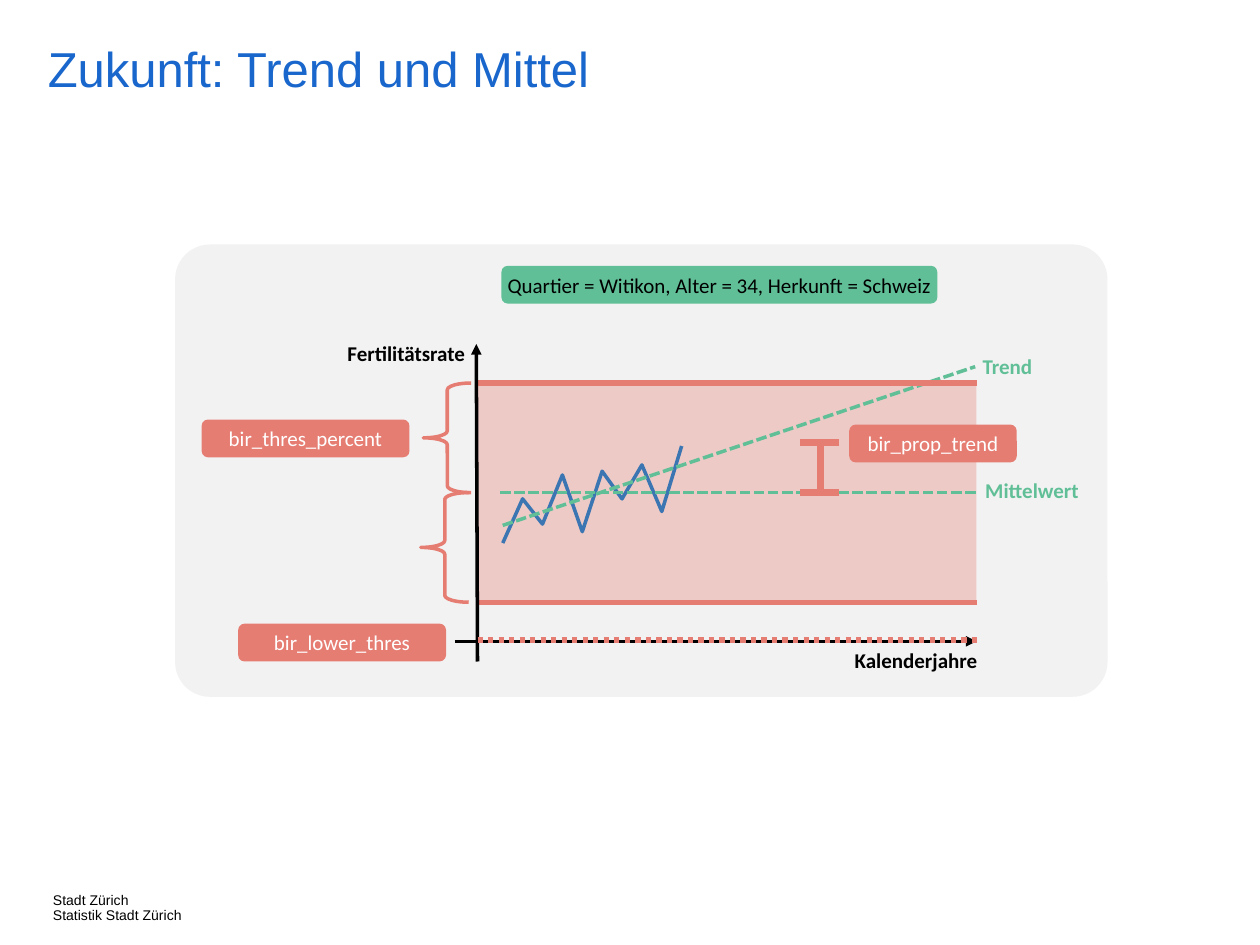
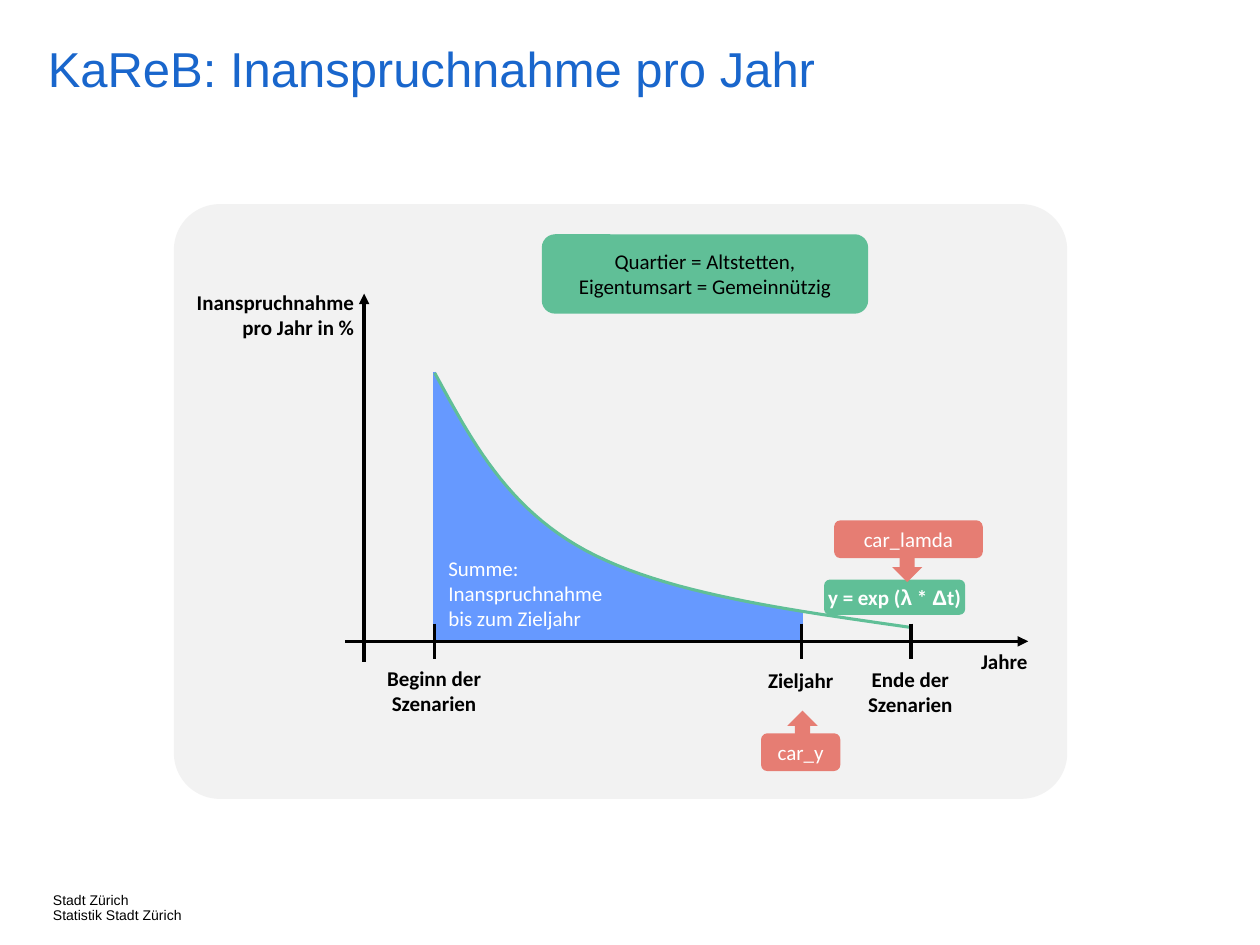
from lxml.etree import SubElement
from pptx import Presentation
from pptx.dml.color import RGBColor
from pptx.enum.shapes import MSO_CONNECTOR, MSO_SHAPE
from pptx.enum.text import MSO_ANCHOR, PP_ALIGN
from pptx.oxml.ns import qn
from pptx.util import Inches, Pt

BLACK = RGBColor(0x00, 0x00, 0x00)
WHITE = RGBColor(0xFF, 0xFF, 0xFF)
GREY = RGBColor(0xF2, 0xF2, 0xF2)
RED = RGBColor(0xE6, 0x7D, 0x73)
GREEN = RGBColor(0x60, 0xBF, 0x97)
BLUE = RGBColor(0x66, 0x99, 0xFF)
NAVY = RGBColor(0x3B, 0x76, 0xB3)
TITLE = RGBColor(0x19, 0x66, 0xCC)

LEFT, MID, RIGHT = PP_ALIGN.LEFT, PP_ALIGN.CENTER, PP_ALIGN.RIGHT
BODY = {"name": "Calibri", "size": Pt(12), "bold": False}
BOLD = {**BODY, "bold": True}
GREEK = {**BOLD, "name": "Arial"}
HEAD = {"name": "Arial", "size": Pt(28), "bold": False}
FOOT = {"name": "Arial", "size": Pt(8), "bold": False}
FLUSH = {"margin_left": 0, "margin_right": 0, "margin_top": 0, "margin_bottom": 0}


def apply(thing, values):
    for key, value in values.items():
        setattr(thing, key, value)


def tint(run, font, color):
    apply(run.font, font)
    run.font.color.rgb = color


def write(frame, texts, font, color, **para):
    for i, text in enumerate(texts):
        line = frame.add_paragraph() if i else frame.paragraphs[0]
        line.text = text
        apply(line, para)
        for run in line.runs:
            tint(run, font, color)


class Board:
    def __init__(self, slide, box):
        self.shapes = slide.shapes
        self.x, self.y, self.wide, self.high = box

    def at(self, x, y):
        return Inches(self.x + x), Inches(self.y + y)

    def shape(self, kind, x, y, wide, high, fill=None, line=None, adjust=None):
        form = self.shapes.add_shape(kind, *self.at(x, y), Inches(wide), Inches(high))
        self.paint(form, fill, line)
        if adjust is not None:
            form.adjustments[0] = adjust
        return form

    def paint(self, form, fill, line, width=2):
        form.shadow.inherit = False
        if fill is None:
            form.fill.background()
        else:
            form.fill.solid()
            form.fill.fore_color.rgb = fill
        if line is None:
            form.line.fill.background()
        else:
            form.line.color.rgb = line
            form.line.width = Pt(width)

    def panel(self):
        self.shape(MSO_SHAPE.ROUNDED_RECTANGLE, 0, 0, self.wide, self.high, GREY, adjust=0.077)

    def text(self, x, y, wide, high, texts, font, color, align=LEFT, frame=None, **para):
        box = self.shapes.add_textbox(*self.at(x, y), Inches(wide), Inches(high))
        apply(box.text_frame, {"word_wrap": True, **(frame or {})})
        write(box.text_frame, texts, font, color, alignment=align, **para)

    def label(self, x, y, wide, text, align=MID, color=BLACK):
        high = 0.5 if "\n" in text else 0.3
        self.text(x, y, wide, high, [text], BOLD, color, align)

    def tag(self, x, y, wide, text, fill=RED, color=WHITE, high=0.3):
        form = self.shape(MSO_SHAPE.ROUNDED_RECTANGLE, x, y, wide, high, fill)
        apply(form.text_frame, {"word_wrap": True, "vertical_anchor": MSO_ANCHOR.MIDDLE, **FLUSH})
        write(form.text_frame, [text], BODY, color, alignment=MID)
        return form.text_frame.paragraphs[0]

    def line(self, start, end, color=BLACK, width=2, dash=None, arrow=False):
        link = self.shapes.add_connector(MSO_CONNECTOR.STRAIGHT, *self.at(*start), *self.at(*end))
        link.line.color.rgb = color
        link.line.width = Pt(width)
        props = link._element.spPr
        stroke = props.find(qn("a:ln"))
        if dash:
            SubElement(stroke, qn("a:prstDash")).set("val", dash)
        if arrow:
            SubElement(stroke, qn("a:tailEnd")).set("type", "triangle")
        SubElement(props, qn("a:effectLst"))

    def trace(self, points, fill=None, line=None, width=2):
        first, *rest = [self.at(*point) for point in points]
        pen = self.shapes.build_freeform(*first)
        pen.add_line_segments(rest, close=fill is not None)
        self.paint(pen.convert_to_shape(), fill, line, width)


def frame(deck, title):
    slide = deck.slides.add_slide(deck.slide_layouts[6])
    page = Board(slide, (0, 0, 10, 7.5))
    page.text(0.42, 7.09, 1.31, 0.2, ["Stadt Zürich", "Statistik Stadt Zürich"],
              FOOT, BLACK, frame={**FLUSH, "word_wrap": False}, line_spacing=0.9)
    page.text(0.38, 0.36, 8.4, 0.64, [title], HEAD, TITLE, frame=FLUSH, line_spacing=0.9)
    return slide


def trend(slide, box):
    board = Board(slide, box)
    left, right = 2.39, 6.36
    top, mean, low, base = 1.1, 1.97, 2.84, 3.15
    board.panel()
    band = board.shape(MSO_SHAPE.RECTANGLE, left, top, right - left, low - top, RED)
    shade = band._element.spPr.find(".//" + qn("a:srgbClr"))
    SubElement(shade, qn("a:alpha")).set("val", "34000")

    board.line((2.22, base), (right, base), arrow=True)
    board.label(5.26, base, 1.24, "Kalenderjahre")
    board.label(1.16, 0.71, 1.24, "Fertilitätsrate", RIGHT)
    board.tag(2.59, 0.17, 3.46, "Quartier = Witikon, Alter = 34, Herkunft = Schweiz", GREEN, BLACK)
    board.tag(0.21, 1.39, 1.65, "bir_thres_percent")

    rates = (2.37, 2.02, 2.22, 1.83, 2.28, 1.8, 2.02, 1.75, 2.12, 1.6)
    step = 1.42 / (len(rates) - 1)
    board.trace([(2.6 + i * step, rate) for i, rate in enumerate(rates)], line=NAVY)

    board.line((2.58, mean), (right, mean), GREEN, dash="sysDash")
    board.label(6.03, 1.8, 1.24, "Mittelwert", RIGHT, GREEN)
    board.line((2.6, 2.23), (6.35, 0.97), GREEN, dash="sysDash")
    board.label(6.26, 0.82, 0.64, "Trend", RIGHT, GREEN)

    for y in (low, top):
        board.line((left, y), (right, y), RED, 3)
    board.line((2.4, 3.31), (left, 0.79), arrow=True)
    for x, y in ((1.97, top), (1.95, mean)):
        board.shape(MSO_SHAPE.LEFT_BRACE, x, y, 0.38, mean - top, line=RED, adjust=0.142)

    peak, stem = 1.57, 5.12
    board.line((stem, peak), (stem, mean), RED, 4)
    for y in (peak, mean):
        board.line((stem + 0.15, y), (stem - 0.16, y), RED, 4)
    board.tag(5.35, 1.43, 1.33, "bir_prop_trend")
    board.tag(0.5, 3.01, 1.65, "bir_lower_thres")
    board.line((2.4, 3.14), (6.37, 3.14), RED, 3, "sysDot")


def bend(a, b, c, d, steps=24):
    for i in range(steps + 1):
        t = i / steps
        parts = ((1 - t) ** 3, 3 * t * (1 - t) ** 2, 3 * t * t * (1 - t), t ** 3)
        yield tuple(sum(p * v for p, v in zip(parts, axis)) for axis in zip(a, b, c, d))


def decay(slide, box):
    board = Board(slide, box)
    start, goal, end, base = 2.07, 4.98, 5.85, 3.47
    board.panel()
    board.line((1.51, 3.63), (1.51, 0.71), arrow=True)
    board.label(0, 0.63, 1.53, "Inanspruchnahme\npro Jahr in %", RIGHT)
    board.tag(2.92, 0.24, 2.59, "Quartier = Altstetten,\nEigentumsart = Gemeinnützig",
              GREEN, BLACK, 0.63)
    board.tag(5.24, 2.51, 1.18, "car_lamda")

    board.label(6.17, 3.48, 0.84, "Jahre")
    board.label(1.49, 3.61, 1.15, "Beginn der\nSzenarien")
    board.label(5.16, 3.62, 1.37, "Ende der\nSzenarien")
    board.label(4.29, 3.63, 1.37, "Zieljahr")

    knot = (3.27, 2.75)
    curve = [*bend((start, 1.34), (2.36, 1.87), (2.64, 2.41), knot),
             *bend(knot, (3.9, 3.09), (4.87, 3.22), (end, 3.36))]
    until = [point for point in curve if point[0] < goal]
    board.trace([(start, base), *until, (goal, 3.23), (goal, base)], BLUE)
    for x, y in ((start, 1.33), (goal, 3.23)):
        board.line((x, y), (x, base), BLUE)
    board.trace(curve, line=GREEN, width=1.75)

    board.line((1.36, base), (6.78, base), arrow=True)
    for x in (goal, end, start):
        board.line((x, base - 0.14), (x, base + 0.14))
    board.text(2.08, 2.74, 1.54, 0.71, ["Summe:\nInanspruchnahme\nbis zum Zieljahr"], BODY, WHITE)

    rule = board.tag(5.16, 2.98, 1.12, "", GREEN, high=0.28)
    for part in ("y = exp (", "λ", " * ", "Δ", "t)"):
        run = rule.add_run()
        run.text = part
        tint(run, GREEK if part in ("λ", "Δ") else BOLD, WHITE)
    board.shape(MSO_SHAPE.DOWN_ARROW, 5.7, 2.72, 0.24, 0.28, RED)
    board.shape(MSO_SHAPE.UP_ARROW, 4.87, 4.02, 0.24, 0.28, RED)
    board.tag(4.66, 4.2, 0.63, "car_y")


def main():
    deck = Presentation()
    deck.slide_width, deck.slide_height = Inches(10), Inches(7.5)
    trend(frame(deck, "Zukunft: Trend und Mittel"), (1.39, 1.94, 7.4, 3.59))
    decay(frame(deck, "KaReB: Inanspruchnahme pro Jahr"), (1.38, 1.62, 7.09, 4.72))
    deck.save("out.pptx")


if __name__ == "__main__":
    main()
